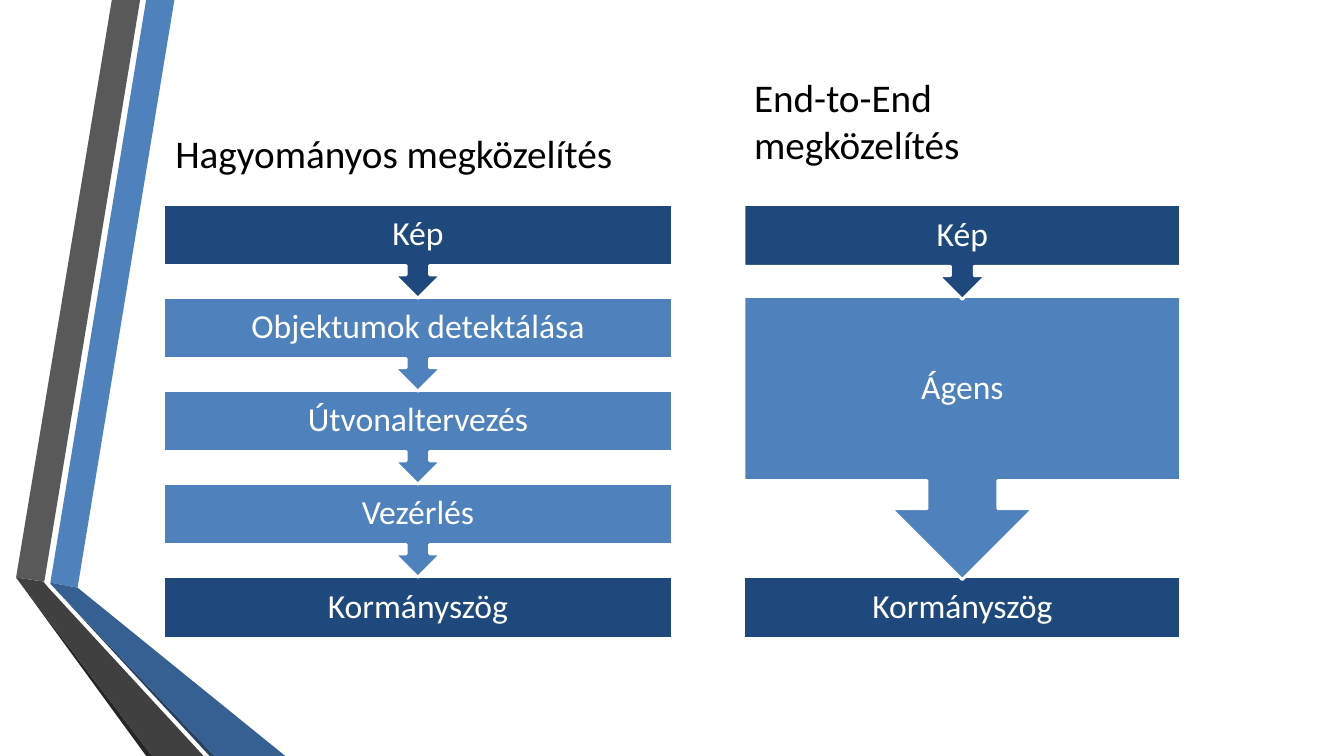
from pptx import Presentation
from pptx.dml.color import RGBColor
from pptx.enum.shapes import MSO_SHAPE as Shape
from pptx.enum.text import MSO_ANCHOR as Anchor, PP_ALIGN as Align
from pptx.util import Inches, Pt

COLORS = {
    "text": "000000", "white": "FFFFFF", "navy": "1F497D", "blue": "4F81BD",
    "deep_blue": "376092", "dark_blue": "254061",
    "gray": "595959", "dark_gray": "404040", "black_gray": "262626",
}
RIBBON = [
    ("blue", [(0.5, 5.78), (0.77, 5.83), (1.73, 0), (1.45, 0)]),
    ("gray", [(1.39, 0), (1.11, 0), (0.16, 5.73), (0.44, 5.77)]),
    ("black_gray", [(0.16, 5.73), (1.45, 7.5), (1.51, 7.5)]),
    ("dark_blue", [(0.5, 5.79), (2.08, 7.5), (2.13, 7.5)]),
    ("deep_blue", [(0.5, 5.79), (2.13, 7.5), (2.83, 7.5), (0.77, 5.83), (0.5, 5.78)]),
    ("dark_gray", [(2.02, 7.5), (0.48, 5.83), (0.43, 5.77), (0.16, 5.73), (1.51, 7.5)]),
]
CLASSIC_STEPS = [
    ("Kép", 0.93, "navy"),
    ("Objektumok detektálása", 0.93, "blue"),
    ("Útvonaltervezés", 0.93, "blue"),
    ("Vezérlés", 0.93, "blue"),
    ("Kormányszög", 0.61, "navy"),
]
END_TO_END_STEPS = [
    ("Kép", 0.94, "navy"),
    ("Ágens", 2.81, "blue"),
    ("Kormányszög", 0.61, "navy"),
]


def color(name):
    """Return the named colour."""
    return RGBColor.from_string(COLORS[name])


def style_paragraph(paragraph, size, color_name, before, after):
    """Set the font and spacing of a paragraph."""
    paragraph.font.name = "Calibri"
    paragraph.font.size = Pt(size)
    paragraph.font.color.rgb = color(color_name)
    paragraph.space_before = Pt(before)
    paragraph.space_after = Pt(after)


def add_ribbon(slide, left, top):
    """Draw the folded ribbon from the given corner."""
    for color_name, points in RIBBON:
        corners = [(Inches(left + x), Inches(top + y)) for x, y in points]
        builder = slide.shapes.build_freeform(*corners[0])
        builder.add_line_segments(corners[1:], close=True)
        shape = builder.convert_to_shape()
        shape.shadow.inherit = False
        shape.fill.solid()
        shape.fill.fore_color.rgb = color(color_name)
        shape.line.fill.background()


def add_heading(slide, text, left, top, width, height):
    """Place a column heading that sits on the bottom of its box."""
    box = slide.shapes.add_textbox(Inches(left), Inches(top), Inches(width), Inches(height))
    frame = box.text_frame
    frame.word_wrap = True
    frame.vertical_anchor = Anchor.BOTTOM
    frame.text = text
    style_paragraph(frame.paragraphs[0], 28, "text", 5.6, 6)


def add_step(slide, kind, text, color_name, left, top, width, height):
    """Draw one labelled step of a flow."""
    shape = slide.shapes.add_shape(kind, Inches(left), Inches(top), Inches(width), Inches(height))
    if kind == Shape.DOWN_ARROW_CALLOUT:
        shape.adjustments[3] = 0.65
    shape.shadow.inherit = False
    shape.fill.solid()
    shape.fill.fore_color.rgb = color(color_name)
    shape.line.color.rgb = color("white")
    shape.line.width = Pt(2)
    frame = shape.text_frame
    frame.word_wrap = True
    frame.vertical_anchor = Anchor.MIDDLE
    frame.margin_left = frame.margin_right = Inches(0.19)
    frame.margin_top = frame.margin_bottom = Inches(0.19)
    frame.text = text
    paragraph = frame.paragraphs[0]
    paragraph.alignment = Align.CENTER
    paragraph.line_spacing = 0.9
    style_paragraph(paragraph, 24, "white", 0, 8.4)


def add_flow(slide, steps, left, top, width, height):
    """Stack steps to fill the box, each arrow lying over the next step."""
    overlap = (sum(step[1] for step in steps) - height) / (len(steps) - 1)
    bottom = top + height
    kind = Shape.RECTANGLE
    for text, step_height, color_name in reversed(steps):
        step_top = bottom - step_height
        add_step(slide, kind, text, color_name, left, step_top, width, step_height)
        bottom = step_top + overlap
        kind = Shape.DOWN_ARROW_CALLOUT


def main():
    """Build and save the comparison slide."""
    presentation = Presentation()
    presentation.slide_width = Inches(13.33)
    presentation.slide_height = Inches(7.5)
    slide = presentation.slides.add_slide(presentation.slide_layouts[6])
    add_ribbon(slide, 0, 0)
    add_heading(slide, "Hagyományos megközelítés", 1.64, 1.17, 5.04, 0.63)
    add_flow(slide, CLASSIC_STEPS, 1.62, 2.03, 5.05, 4.3)
    add_heading(slide, "End-to-End\vmegközelítés", 7.38, 1.08, 5.05, 0.63)
    add_flow(slide, END_TO_END_STEPS, 7.38, 2.03, 4.33, 4.3)
    presentation.save("out.pptx")


if __name__ == "__main__":
    main()
